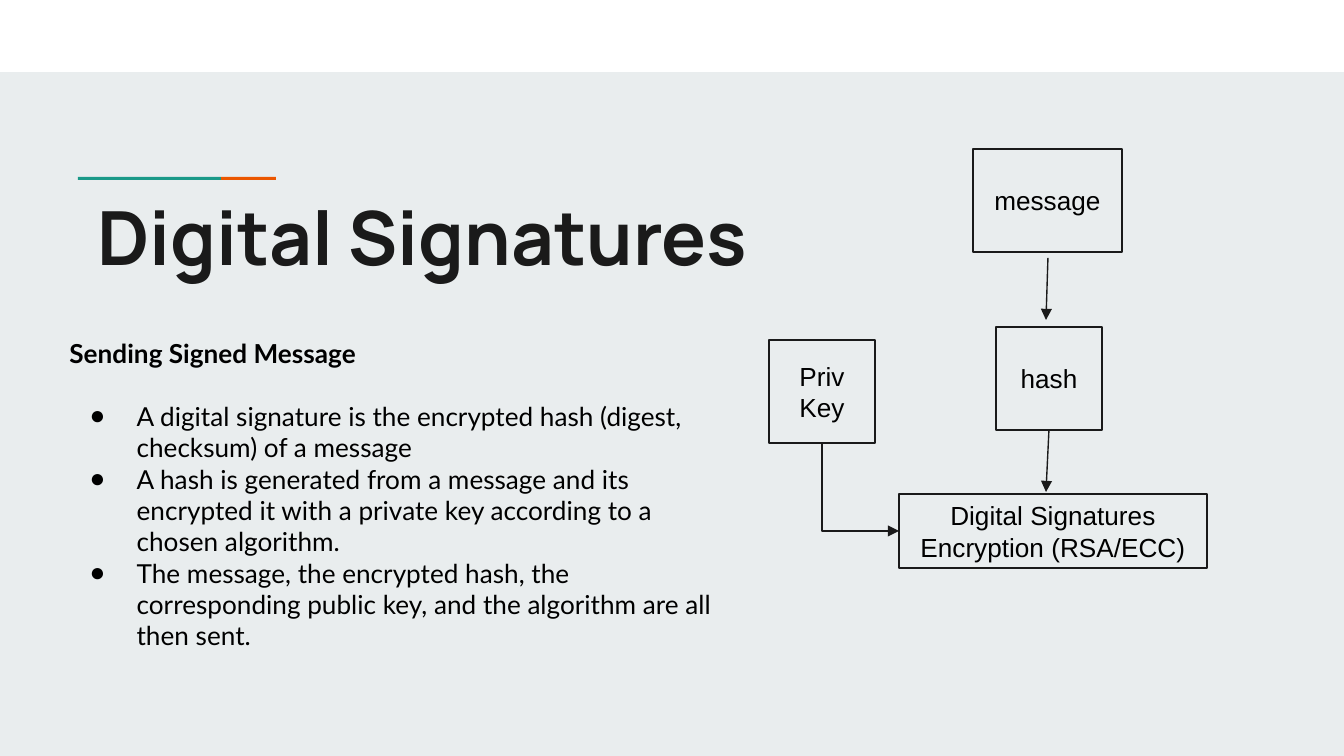
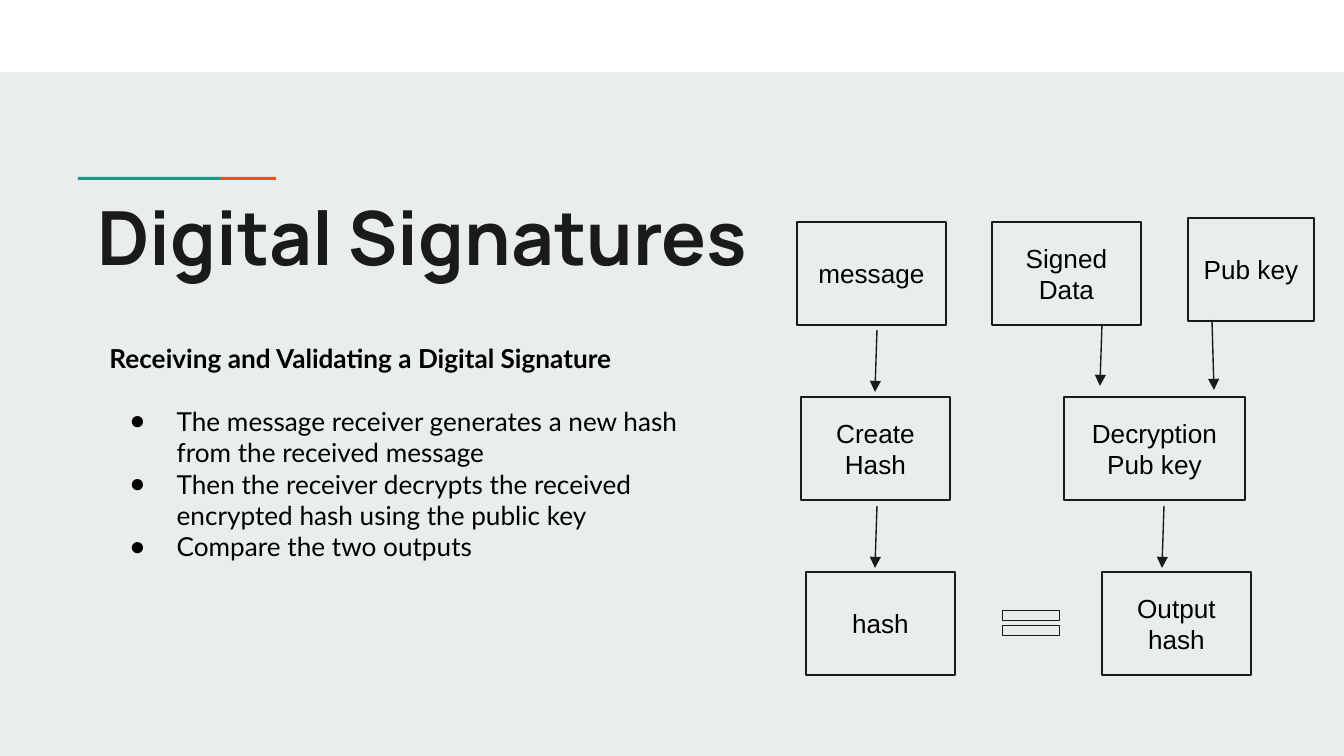
from dataclasses import dataclass

from lxml import etree
from pptx import Presentation
from pptx.dml.color import RGBColor
from pptx.enum.shapes import MSO_CONNECTOR, MSO_SHAPE
from pptx.enum.text import MSO_ANCHOR, MSO_AUTO_SIZE, PP_ALIGN
from pptx.oxml.ns import qn
from pptx.util import Emu, Inches, Pt

RECT, EQUAL = MSO_SHAPE.RECTANGLE, MSO_SHAPE.MATH_EQUAL
STRAIGHT, ELBOW = MSO_CONNECTOR.STRAIGHT, MSO_CONNECTOR.ELBOW
TOP, MIDDLE, BOTTOM = MSO_ANCHOR.TOP, MSO_ANCHOR.MIDDLE, MSO_ANCHOR.BOTTOM
LEFT, CENTER = PP_ALIGN.LEFT, PP_ALIGN.CENTER
NO_FIT, GROW = MSO_AUTO_SIZE.NONE, MSO_AUTO_SIZE.SHAPE_TO_FIT_TEXT
SIDE_LEFT, SIDE_BOTTOM = 1, 2


@dataclass(frozen=True)
class Theme:
    ground: str = "E9EDEE"
    band: str = "FFFFFF"
    ink: str = "1A1A1A"
    text: str = "000000"
    teal: str = "1A9988"
    orange: str = "EB5600"
    title_font: str = "Manrope"
    body_font: str = "Lato"
    box_font: str = "Arial"
    title_size: float = 40
    text_size: float = 14
    body_line: float = 16.8
    line_width: float = 0.75
    inset: float = 7.2


THEME = Theme()
WIDTH, HEIGHT = 1344, 756
TITLE = "Digital Signatures"
TITLE_AT = (84, 169, 1260, 125)
BANDS = [
    ((0, 0, WIDTH, 72), THEME.band),
    ((78, 177, 143, 3), THEME.teal),
    ((221, 177, 55, 3), THEME.orange),
]
BOX_H = 103

# Boxes: text, (left, top, width, height). Arrows: from, to.
# Joined arrows: box whose bottom starts the arrow, then the tip or the box reached.
SLIDES = [
    {
        "heading": "Sending Signed Message",
        "bullets": [
            "A digital signature is the encrypted hash (digest, checksum) of a message",
            "A hash is generated from a message and its encrypted it with a private key "
            "according to a chosen algorithm.",
            "The message, the encrypted hash, the corresponding public key, and the "
            "algorithm are all then sent.",
        ],
        "body_at": (56, 324, 672, 375),
        "boxes": {
            "message": ("message", (973, 149, 149, BOX_H)),
            "hash": ("hash", (996, 327, 106, BOX_H)),
            "encryption": ("Digital Signatures\nEncryption (RSA/ECC)", (899, 494, 308, 74)),
            "private key": ("Priv\nKey", (769, 340, 106, BOX_H)),
        },
        "arrows": [((1048, 258), (1046, 320))],
        "joined": [("hash", (1046, 492))],
        "elbows": [("private key", "encryption")],
    },
    {
        "heading": "Receiving and Validating a Digital Signature",
        "bullets": [
            "The message receiver generates a new hash from the received message",
            "Then the receiver decrypts the received encrypted hash using the public key",
            "Compare the two outputs",
        ],
        "body_at": (96, 329, 645, 281),
        "boxes": {
            "message": ("message", (797, 222, 149, BOX_H)),
            "create hash": ("Create\nHash", (801, 397, 149, BOX_H)),
            "decryption": ("Decryption\nPub key", (1064, 397, 181, BOX_H)),
            "signed data": ("Signed\nData", (992, 222, 149, BOX_H)),
            "public key": ("Pub key", (1188, 218, 126, BOX_H)),
            "hash": ("hash", (806, 572, 149, BOX_H)),
            "output hash": ("Output\nhash", (1102, 572, 149, BOX_H)),
        },
        "arrows": [
            ((877, 330), (875, 392)),
            ((877, 506), (875, 568)),
            ((1102, 324), (1100, 386)),
            ((1212, 320), (1214, 390)),
            ((1164, 506), (1162, 568)),
        ],
        "equal_at": (992, 602, 78, 42),
    },
]


def px(n):
    return Emu(round(n * 914400 / 134.4))


def rgb(colour):
    return RGBColor.from_string(colour)


def place(sp, at):
    sp.left, sp.top, sp.width, sp.height = map(px, at)


def set_font(p, name, colour, size=THEME.text_size, bold=False):
    for r in p.runs:
        f = r.font
        f.name, f.size, f.bold = name, Pt(size), bold
        f.color.rgb = rgb(colour)


def set_frame(tf, anchor, fit=NO_FIT):
    tf.word_wrap, tf.auto_size, tf.vertical_anchor = True, fit, anchor
    tf.margin_left = tf.margin_right = tf.margin_top = tf.margin_bottom = Pt(THEME.inset)


def add_shape(slide, kind, at, fill, line=None):
    sp = slide.shapes.add_shape(kind, *map(px, at))
    sp.shadow.inherit = False
    sp.fill.solid()
    sp.fill.fore_color.rgb = rgb(fill)
    if line:
        sp.line.color.rgb = rgb(line)
        sp.line.width = Pt(THEME.line_width)
    else:
        sp.line.fill.background()
    return sp


def add_box(slide, text, at):
    sp = add_shape(slide, RECT, at, THEME.ground, THEME.ink)
    tf = sp.text_frame
    set_frame(tf, MIDDLE)
    tf.text = text
    for p in tf.paragraphs:
        p.alignment = CENTER
        set_font(p, THEME.box_font, THEME.text)
    return sp


def add_arrow(slide, start, end, kind=STRAIGHT):
    cn = slide.shapes.add_connector(kind, *map(px, start + end))
    cn.line.color.rgb = rgb(THEME.ink)
    cn.line.width = Pt(THEME.line_width)
    etree.SubElement(cn.line._get_or_add_ln(), qn("a:tailEnd"), type="triangle")
    etree.SubElement(cn._element.spPr, qn("a:effectLst"))
    return cn


def add_elbow(slide, source, target):
    """Run down from the source's bottom, then right to the target's left side."""
    cn = add_arrow(slide, (0, 0), (1, 1), ELBOW)
    cn.begin_connect(source, SIDE_BOTTOM)
    cn.end_connect(target, SIDE_LEFT)
    # A quarter turn keeps the centre and swaps width with height.
    x, y, w, h = cn.left, cn.top, cn.width, cn.height
    cn.left, cn.top = x + (w - h) // 2, y + (h - w) // 2
    cn.width, cn.height = h, w
    xfrm = cn._element.spPr.find(qn("a:xfrm"))
    xfrm.set("rot", "16200000")
    xfrm.set("flipH", "1")
    guides = cn._element.spPr.find(qn("a:prstGeom")).find(qn("a:avLst"))
    etree.SubElement(guides, qn("a:gd"), name="adj1", fmla="val 100000")


def fill_title(sp):
    place(sp, TITLE_AT)
    tf = sp.text_frame
    set_frame(tf, BOTTOM)
    tf.text = TITLE
    p = tf.paragraphs[0]
    p.alignment = LEFT
    set_font(p, THEME.title_font, THEME.ink, THEME.title_size, True)


def fill_body(sp, heading, bullets, at):
    place(sp, at)
    tf = sp.text_frame
    set_frame(tf, TOP, GROW)
    tf.text = "\n".join([heading, *bullets])
    for i, p in enumerate(tf.paragraphs):
        pPr = p._p.get_or_add_pPr()
        if i == 0:
            pPr.set("marL", "0")
            pPr.set("indent", "0")
            etree.SubElement(pPr, qn("a:buNone"))
        else:
            pPr.set("marL", str(Inches(0.5)))
            pPr.set("indent", str(Inches(-0.35)))
            etree.SubElement(pPr, qn("a:buChar"), char="●")
        p.line_spacing = 1.0
        p.space_before = Pt(THEME.body_line if i == 1 else 0)
        set_font(p, THEME.body_font, THEME.text, bold=i == 0)


def build_slide(prs, content):
    slide = prs.slides.add_slide(prs.slide_layouts[1])
    for at, colour in BANDS:
        add_shape(slide, RECT, at, colour)
    fill_title(slide.shapes.title)
    fill_body(slide.placeholders[1], content["heading"], content["bullets"], content["body_at"])
    boxes = {name: add_box(slide, *box) for name, box in content["boxes"].items()}
    for start, end in content["arrows"]:
        add_arrow(slide, start, end)
    for name, tip in content.get("joined", []):
        add_arrow(slide, tip, tip).begin_connect(boxes[name], SIDE_BOTTOM)
    for source, target in content.get("elbows", []):
        add_elbow(slide, boxes[source], boxes[target])
    if "equal_at" in content:
        sp = add_shape(slide, EQUAL, content["equal_at"], THEME.ground, THEME.ink)
        sp.adjustments[0], sp.adjustments[1] = 0.24, 0.12


def main():
    prs = Presentation()
    prs.slide_width, prs.slide_height = px(WIDTH), px(HEIGHT)
    fill = prs.slide_master.background.fill
    fill.solid()
    fill.fore_color.rgb = rgb(THEME.ground)
    for content in SLIDES:
        build_slide(prs, content)
    prs.save("out.pptx")


if __name__ == "__main__":
    main()
